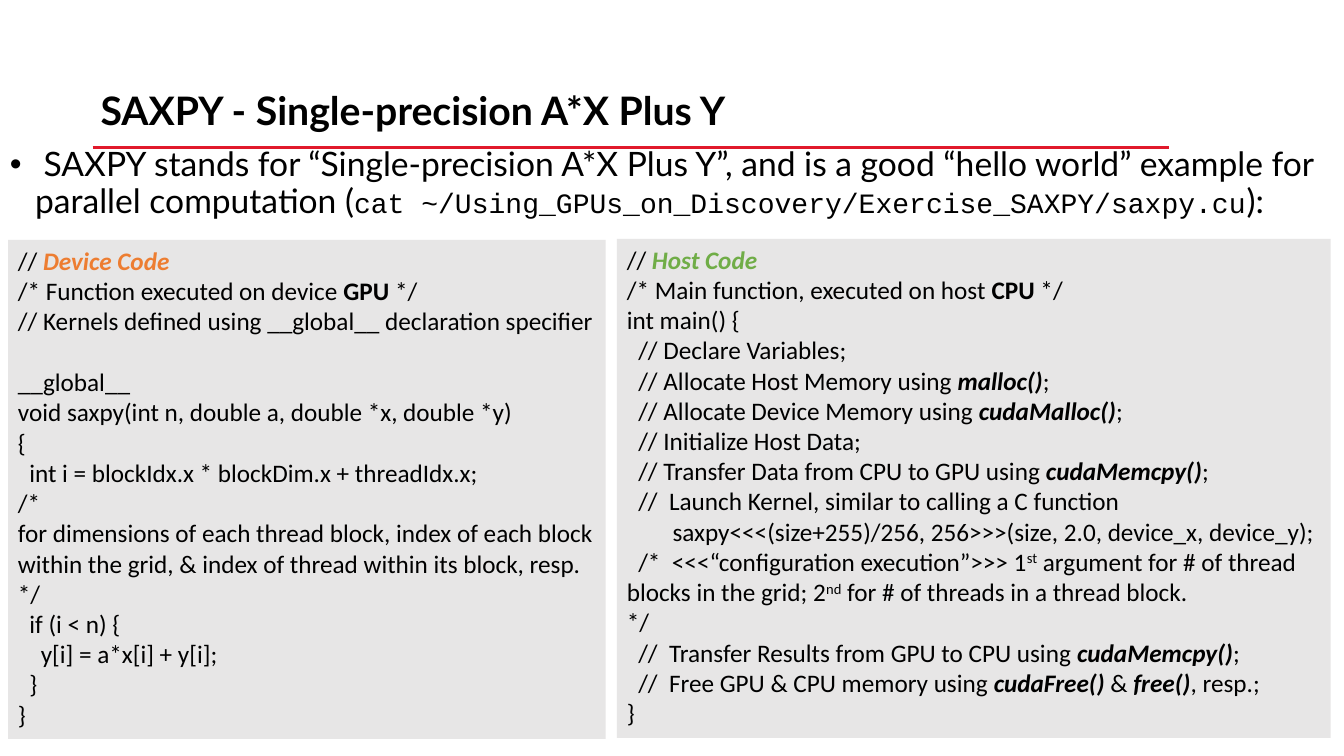
from dataclasses import dataclass
from typing import Any

import lxml.etree
import pptx
import pptx.dml.color
import pptx.enum.shapes
import pptx.enum.text
import pptx.oxml.ns
import pptx.util

RGB = pptx.dml.color.RGBColor
Pt = pptx.util.Pt
qn = pptx.oxml.ns.qn

BLACK = RGB(0x00, 0x00, 0x00)
RED = RGB(0xE1, 0x19, 0x2B)
GREY = RGB(0xE7, 0xE6, 0xE6)
ORANGE = RGB(0xED, 0x7D, 0x31)
GREEN = RGB(0x70, 0xAD, 0x47)

WIDE, HIGH = pptx.util.Inches(13.33), pptx.util.Inches(7.5)
COLS, ROWS = 40, 30
STEP = 0.34  # columns per level of code indent

Look = dict[str, Any]
CODE: Look = {"name": "Calibri", "size": Pt(18)}
TITLE: Look = {"name": "Lato", "size": Pt(28), "bold": True}
BODY: Look = {"name": "Lato", "size": Pt(24)}
MONO: Look = {"name": "Courier New", "size": Pt(20)}
BOLD: Look = {"bold": True}
CALL: Look = {"bold": True, "italic": True}
SUPER: Look = {"raise": 30}


@dataclass(frozen=True)
class Run:
    text: str
    look: Look


@dataclass(frozen=True)
class Line:
    """A paragraph; left and first are indents in columns."""
    runs: list[str | Run]
    first: float = 0
    left: float = 0
    gap: float = 0
    lead: float = 1
    mark: str = ""


@dataclass(frozen=True)
class Panel:
    left: float
    top: float
    width: float
    height: float
    lines: list[Line]


def col(count: float) -> int:
    return round(WIDE * count / COLS)


def row(count: float) -> int:
    return round(HIGH * count / ROWS)


def code(*runs: str | Run, level: int = 0, gap: float = 0) -> Line:
    return Line(list(runs), first=level * STEP, gap=gap)


def call(text: str) -> Run:
    return Run(text, CALL)


def head(text: str, tint: RGB) -> Line:
    return code("// ", Run(text, CALL | {"color": tint}))


INTRO = Panel(0, 3.44, 39.78, 26.56, [
    Line([Run("SAXPY - Single-precision A*X Plus Y", TITLE)],
         left=2.7, gap=10, lead=0.9),
    Line([" SAXPY stands for “Single-precision A*X Plus Y”, and is a good "
          "“hello world” example for parallel computation (",
          Run("cat ~/Using_GPUs_on_Discovery/Exercise_SAXPY/saxpy.cu", MONO),
          "):"], first=-0.75, left=0.75, gap=10, lead=0.9, mark="•"),
])

DEVICE = Panel(0.24, 9.52, 17.79, 19.8, [
    head("Device Code", ORANGE),
    code("/* Function executed on device ", Run("GPU", BOLD), " */"),
    code("// Kernels defined using __global__ declaration specifier"),
    code("__global__", gap=22),
    code("void saxpy(int n, double a, double *x, double *y)"),
    code("{"),
    code("int i = blockIdx.x * blockDim.x + threadIdx.x;", level=1),
    code("/*"),
    code("for dimensions of each thread block, index of each block within "
         "the grid, & index of thread within its block, resp."),
    code("*/"),
    code("if (i < n) {", level=1),
    code("y[i] = a*x[i] + y[i];", level=2),
    code("}", level=1),
    code("}"),
])

HOST = Panel(18.36, 9.48, 21.24, 19.8, [
    head("Host Code", GREEN),
    code("/* Main function, executed on host ", Run("CPU", BOLD), " */"),
    code("int main() {"),
    code("// Declare Variables;", level=1),
    code("// Allocate Host Memory using ", call("malloc()"), ";", level=1),
    code("// Allocate Device Memory using ", call("cudaMalloc()"), ";", level=1),
    code("// Initialize Host Data;", level=1),
    code("// Transfer Data from CPU to GPU using ", call("cudaMemcpy()"), ";",
         level=1),
    code("//  Launch Kernel, similar to calling a C function", level=1),
    code("saxpy<<<(size+255)/256, 256>>>(size, 2.0, device_x, device_y);",
         level=4),
    code("/*  <<<“configuration execution”>>> 1", Run("st", SUPER),
         " argument for # of thread blocks in the grid; 2", Run("nd", SUPER),
         " for # of threads in a thread block.", level=1),
    code("*/"),
    code("//  Transfer Results from GPU to CPU using ", call("cudaMemcpy()"),
         ";", level=1),
    code("//  Free GPU & CPU memory using ", call("cudaFree() "), "& ",
         call("free()"), ", resp.;", level=1),
    code("}"),
])


def style(run: Any, look: Look) -> None:
    for key, value in look.items():
        if key == "color":
            run.font.color.rgb = value
        elif key == "raise":
            run._r.get_or_add_rPr().set("baseline", str(value * 1000))
        else:
            setattr(run.font, key, value)


def write(frame: Any, lines: list[Line], base: Look) -> None:
    frame.word_wrap = True
    frame.vertical_anchor = pptx.enum.text.MSO_ANCHOR.TOP
    for spot, line in enumerate(lines):
        para = frame.add_paragraph() if spot else frame.paragraphs[0]
        form = {"alignment": pptx.enum.text.PP_ALIGN.LEFT,
                "line_spacing": line.lead, "space_before": Pt(line.gap)}
        for key, value in form.items():
            setattr(para, key, value)
        props = para._p.get_or_add_pPr()
        props.set("marL", str(col(line.left)))
        props.set("indent", str(col(line.first)))
        if line.mark:
            font = lxml.etree.SubElement(props, qn("a:buFont"))
            font.set("typeface", "Arial")
            mark = lxml.etree.SubElement(props, qn("a:buChar"))
            mark.set("char", line.mark)
        for part in line.runs:
            item = Run(part, {}) if isinstance(part, str) else part
            run = para.add_run()
            run.text = item.text
            style(run, {"color": BLACK} | base | item.look)


def place(panel: Panel) -> tuple[int, int, int, int]:
    return (col(panel.left), row(panel.top),
            col(panel.width), row(panel.height))


def rule(slide: Any) -> None:
    """Draw the red line under the title."""
    line = slide.shapes.add_connector(
        pptx.enum.shapes.MSO_CONNECTOR.STRAIGHT,
        col(2.76), row(5.84), col(34.8), row(5.84))
    line.line.color.rgb = RED
    line.line.width = Pt(2)
    lxml.etree.SubElement(line._element.spPr, qn("a:effectLst"))


def block(slide: Any, panel: Panel) -> None:
    """Draw a grey box of code."""
    box = slide.shapes.add_shape(
        pptx.enum.shapes.MSO_SHAPE.RECTANGLE, *place(panel))
    box.shadow.inherit = False
    box.fill.solid()
    box.fill.fore_color.rgb = GREY
    box.line.fill.background()
    write(box.text_frame, panel.lines, CODE)
    box.text_frame.auto_size = pptx.enum.text.MSO_AUTO_SIZE.SHAPE_TO_FIT_TEXT


def main() -> None:
    deck = pptx.Presentation()
    deck.slide_width, deck.slide_height = WIDE, HIGH
    slide = deck.slides.add_slide(deck.slide_layouts[6])
    rule(slide)
    intro = slide.shapes.add_textbox(*place(INTRO))
    write(intro.text_frame, INTRO.lines, BODY)
    for panel in (DEVICE, HOST):
        block(slide, panel)
    deck.save("out.pptx")


if __name__ == "__main__":
    main()
